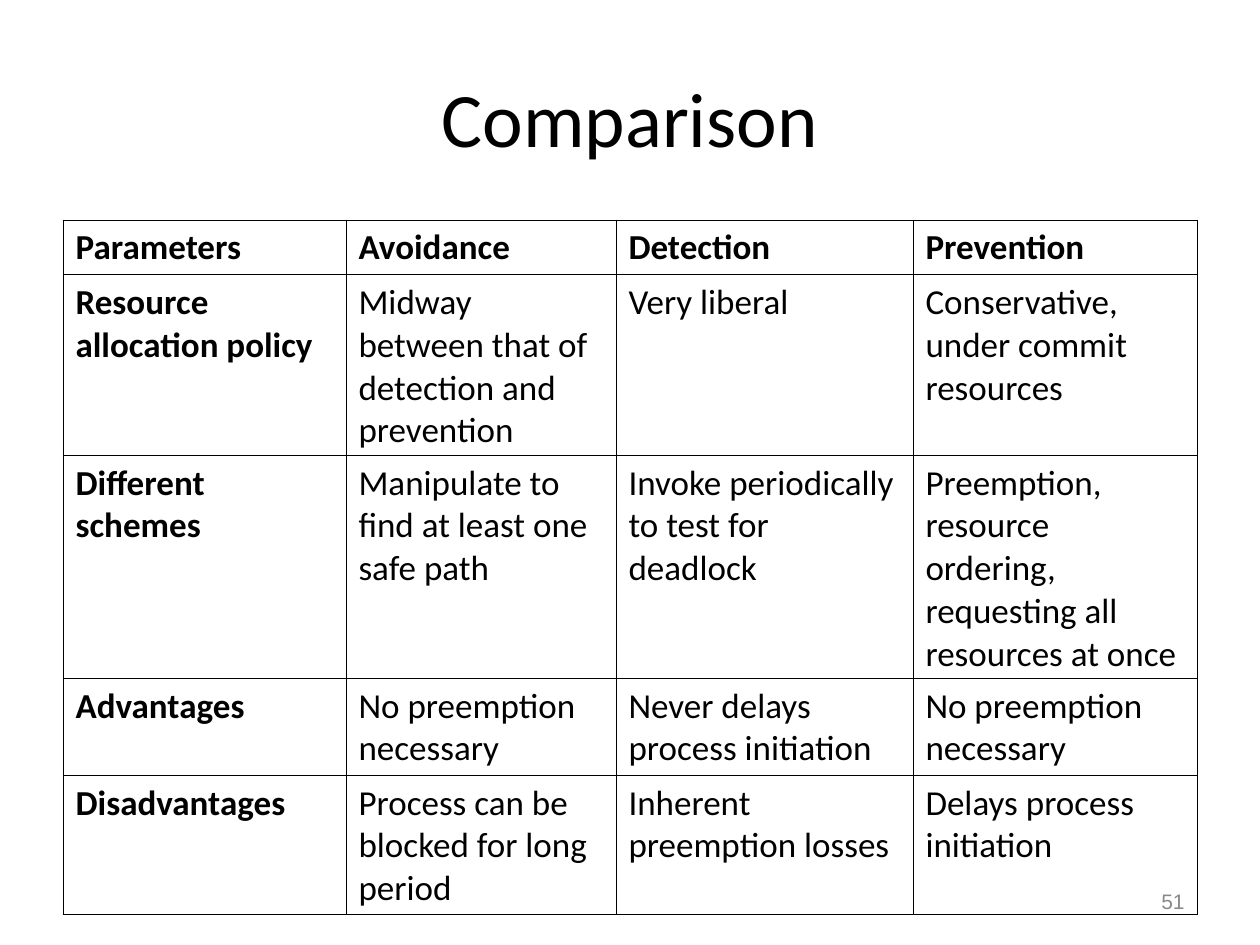
from dataclasses import dataclass

from lxml.etree import SubElement
from pptx import Presentation
from pptx.dml.color import RGBColor
from pptx.enum.text import MSO_ANCHOR, PP_ALIGN
from pptx.oxml.ns import qn
from pptx.util import Emu, Pt


@dataclass(frozen=True)
class Theme:
    ink: str = "000000"
    grey: str = "898989"
    face: str = "Calibri"
    plain: str = "Arial"
    head: int = 44
    cell: int = 20
    note: int = 12
    rule: float = 0.45


def px(num):
    return Emu(round(num * 914400 / 126))


class Deck:
    """Holds the theme and the current slide, and adds each kind of element."""

    def __init__(self, theme, wide, high):
        self.theme = theme
        self.show = Presentation()
        self.show.slide_width, self.show.slide_height = px(wide), px(high)
        self.slide = self.show.slides.add_slide(self.show.slide_layouts[5])

    def label(self, frame, text, size, face, tint, bold=False, align=PP_ALIGN.LEFT):
        frame.word_wrap = True
        para = frame.paragraphs[0]
        para.text = text
        para.alignment = align
        font = para.font
        font.name, font.size, font.bold = face, Pt(size), bold
        font.color.rgb = RGBColor.from_string(tint)

    def title(self, text, left, top, wide, high):
        box = self.slide.shapes.title
        box.left, box.top, box.width, box.height = map(px, (left, top, wide, high))
        box.text_frame.vertical_anchor = MSO_ANCHOR.MIDDLE
        look = self.theme
        self.label(box.text_frame, text, look.head, look.face, look.ink, align=PP_ALIGN.CENTER)

    def number(self, text, left, top, wide, high):
        box = self.slide.shapes.add_textbox(*map(px, (left, top, wide, high)))
        box.text_frame.vertical_anchor = MSO_ANCHOR.MIDDLE
        look = self.theme
        self.label(box.text_frame, text, look.note, look.plain, look.grey, align=PP_ALIGN.RIGHT)

    def border(self, cell):
        props = cell._tc.get_or_add_tcPr()
        for side in ("lnL", "lnR", "lnT", "lnB"):
            line = SubElement(props, qn(f"a:{side}"), w=str(Pt(self.theme.rule)))
            fill = SubElement(line, qn("a:solidFill"))
            SubElement(fill, qn("a:srgbClr"), val=self.theme.ink)

    def table(self, data, left, top, cols, rows):
        frame = self.slide.shapes.add_table(
            len(rows), len(cols), px(left), px(top), px(sum(cols)), px(sum(rows)))
        grid = frame.table
        grid.first_row = grid.horz_banding = False
        for col, wide in zip(grid.columns, cols):
            col.width = px(wide)
        look = self.theme
        for r, (row, high) in enumerate(zip(data, rows)):
            grid.rows[r].height = px(high)
            for c, text in enumerate(row):
                cell = grid.cell(r, c)
                self.border(cell)
                cell.fill.background()
                self.label(cell.text_frame, text, look.cell, look.face, look.ink,
                           bold=r == 0 or c == 0)

    def save(self):
        self.show.save("out.pptx")


DATA = [
    ("Parameters", "Avoidance", "Detection", "Prevention"),
    ("Resource allocation policy", "Midway between that of detection and prevention",
     "Very liberal", "Conservative, under commit resources"),
    ("Different schemes", "Manipulate to find at least one safe path",
     "Invoke periodically to test for deadlock",
     "Preemption, resource ordering, requesting all resources at once"),
    ("Advantages", "No preemption necessary", "Never delays process initiation",
     "No preemption necessary"),
    ("Disadvantages", "Process can be blocked for long period",
     "Inherent preemption losses", "Delays process initiation"),
]


def main():
    deck = Deck(Theme(), 1260, 945)
    deck.title("Comparison", 63, 38, 1134, 157)
    deck.number("51", 903, 876, 294, 50)
    deck.table(DATA, 63, 220, (283, 270, 297, 284), (54, 180, 223, 97, 139))
    deck.save()


if __name__ == "__main__":
    main()
